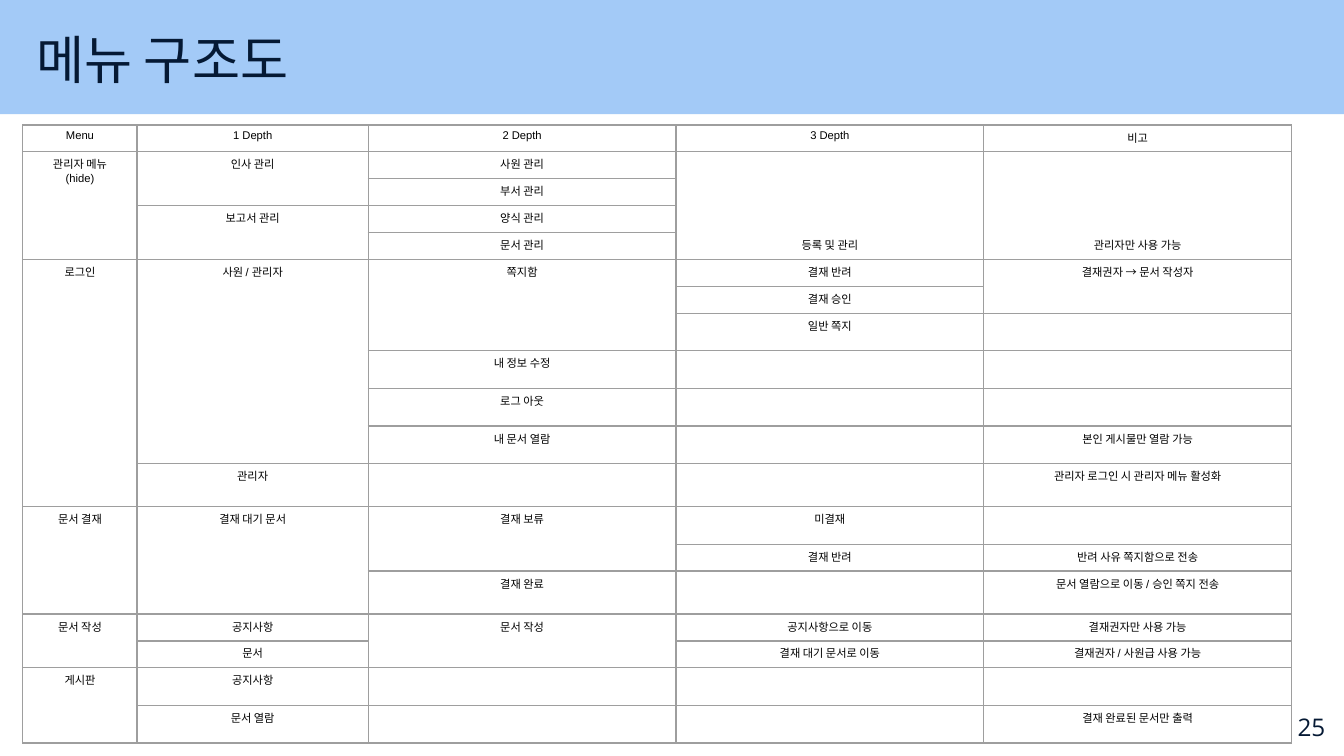
from dataclasses import dataclass

from lxml.etree import SubElement
from pptx import Presentation
from pptx.dml.color import RGBColor
from pptx.enum.shapes import MSO_SHAPE as Shape
from pptx.enum.text import MSO_ANCHOR as Anchor, MSO_AUTO_SIZE as AutoSize, PP_ALIGN as Align
from pptx.oxml.ns import qn
from pptx.util import Inches, Pt


@dataclass(frozen=True)
class Theme:
    band: str = "A3CAF7"
    ink: str = "051934"
    cell_ink: str = "000000"
    border: str = "9E9E9E"
    border_width: float = 0.75
    font: str = "Arial"
    number_font: str = "Open Sans"
    title_size: int = 28
    number_size: int = 13
    cell_size: int = 6


THEME = Theme()
TITLE_ONLY = 5
COLUMN_WIDTHS = [0.85, 1.72, 2.29, 2.29, 2.29]
JOIN_ABOVE = None

MENU_ROWS = [
    (0.2, "Menu", "1 Depth", "2 Depth", "3 Depth", "비고"),
    (0.2, "관리자 메뉴\n(hide)", "인사 관리", "사원 관리", "등록 및 관리", "관리자만 사용 가능"),
    (0.2, JOIN_ABOVE, JOIN_ABOVE, "부서 관리", JOIN_ABOVE, JOIN_ABOVE),
    (0.2, JOIN_ABOVE, "보고서 관리", "양식 관리", JOIN_ABOVE, JOIN_ABOVE),
    (0.2, JOIN_ABOVE, JOIN_ABOVE, "문서 관리", JOIN_ABOVE, JOIN_ABOVE),
    (0.2, "로그인", "사원 / 관리자", "쪽지함", "결재 반려", "결재권자 → 문서 작성자"),
    (0.2, JOIN_ABOVE, JOIN_ABOVE, JOIN_ABOVE, "결재 승인", JOIN_ABOVE),
    (0.28, JOIN_ABOVE, JOIN_ABOVE, JOIN_ABOVE, "일반 쪽지", ""),
    (0.28, JOIN_ABOVE, JOIN_ABOVE, "내 정보 수정", "", ""),
    (0.28, JOIN_ABOVE, JOIN_ABOVE, "로그 아웃", "", ""),
    (0.28, JOIN_ABOVE, JOIN_ABOVE, "내 문서 열람", "", "본인 게시물만 열람 가능"),
    (0.32, JOIN_ABOVE, "관리자", "", "", "관리자 로그인 시 관리자 메뉴 활성화"),
    (0.28, "문서 결재", "결재 대기 문서", "결재 보류", "미결재", ""),
    (0.2, JOIN_ABOVE, JOIN_ABOVE, JOIN_ABOVE, "결재 반려", "반려 사유 쪽지함으로 전송"),
    (0.32, JOIN_ABOVE, JOIN_ABOVE, "결재 완료", "", "문서 열람으로 이동 / 승인 쪽지 전송"),
    (0.2, "문서 작성", "공지사항", "문서 작성", "공지사항으로 이동", "결재권자만 사용 가능"),
    (0.2, JOIN_ABOVE, "문서", JOIN_ABOVE, "결재 대기 문서로 이동", "결재권자 / 사원급 사용 가능"),
    (0.28, "게시판", "공지사항", "", "", ""),
    (0.28, JOIN_ABOVE, "문서 열람", "", "", "결재 완료된 문서만 출력"),
]
BOTTOM_TEXTS = {"등록 및 관리", "관리자만 사용 가능"}


def place(shape, left, top, width, height):
    shape.left, shape.top = Inches(left), Inches(top)
    shape.width, shape.height = Inches(width), Inches(height)


def style_paragraph(paragraph, font, size, color, align):
    paragraph.alignment = align
    paragraph.font.name = font
    paragraph.font.size = Pt(size)
    paragraph.font.color.rgb = RGBColor.from_string(color)


def set_margins(holder, horizontal, vertical):
    holder.margin_left = holder.margin_right = Inches(horizontal)
    holder.margin_top = holder.margin_bottom = Inches(vertical)


def write_line(frame, text, font, size, align):
    frame.text = text
    frame.word_wrap = True
    frame.auto_size = AutoSize.NONE
    frame.vertical_anchor = Anchor.MIDDLE
    set_margins(frame, 0.1, 0.1)
    style_paragraph(frame.paragraphs[0], font, size, THEME.ink, align)


def add_heading(slide, text):
    band = slide.shapes.add_shape(Shape.RECTANGLE, 0, 0, Inches(10), Inches(0.85))
    band.shadow.inherit = False
    band.fill.solid()
    band.fill.fore_color.rgb = RGBColor.from_string(THEME.band)
    band.line.fill.background()
    heading = slide.shapes.title
    heading.element.addprevious(band.element)
    place(heading, 0.17, 0.12, 7.73, 0.63)
    write_line(heading.text_frame, text, THEME.font, THEME.title_size, Align.LEFT)


def add_page_number(slide, number):
    box = slide.shapes.add_textbox(Inches(9.36), Inches(5.19), Inches(0.6), Inches(0.43))
    write_line(box.text_frame, number, THEME.number_font, THEME.number_size, Align.RIGHT)


def add_borders(cell):
    properties = cell._tc.get_or_add_tcPr()
    for position, side in enumerate(("lnL", "lnR", "lnT", "lnB")):
        line = properties.makeelement(qn(f"a:{side}"), {"w": str(Pt(THEME.border_width))})
        fill = SubElement(line, qn("a:solidFill"))
        SubElement(fill, qn("a:srgbClr"), val=THEME.border)
        properties.insert(position, line)


def fill_cell(cell, text):
    cell.text = text or ""
    cell.fill.background()
    set_margins(cell, 0.06, 0.03)
    cell.vertical_anchor = Anchor.TOP
    if text in BOTTOM_TEXTS:
        cell.vertical_anchor = Anchor.BOTTOM
        cell.margin_bottom = Inches(0.05)
    for paragraph in cell.text_frame.paragraphs:
        style_paragraph(paragraph, THEME.font, THEME.cell_size, THEME.cell_ink, Align.CENTER)
        if not text:
            ending = SubElement(paragraph._p, qn("a:endParaRPr"))
            ending.set("sz", str(THEME.cell_size * 100))
    add_borders(cell)


def merge_down(table, texts):
    for column, entries in enumerate(zip(*texts)):
        starts = [row for row, text in enumerate(entries) if text is not JOIN_ABOVE]
        for start, following in zip(starts, starts[1:] + [len(entries)]):
            if following - start > 1:
                table.cell(start, column).merge(table.cell(following - 1, column))


def add_menu_table(slide):
    heights = [row[0] for row in MENU_ROWS]
    texts = [row[1:] for row in MENU_ROWS]
    table = slide.shapes.add_table(
        len(texts), len(COLUMN_WIDTHS), Inches(0.17), Inches(0.93),
        Inches(sum(COLUMN_WIDTHS)), Inches(sum(heights)),
    ).table
    table.first_row = table.horz_banding = False
    for column, width in zip(table.columns, COLUMN_WIDTHS):
        column.width = Inches(width)
    for row, height, entries in zip(table.rows, heights, texts):
        row.height = Inches(height)
        for cell, text in zip(row.cells, entries):
            fill_cell(cell, text)
    merge_down(table, texts)


def main():
    deck = Presentation()
    deck.slide_width = Inches(10)
    deck.slide_height = deck.slide_width * 9 // 16
    slide = deck.slides.add_slide(deck.slide_layouts[TITLE_ONLY])
    add_heading(slide, "메뉴 구조도")
    add_page_number(slide, "25")
    add_menu_table(slide)
    deck.save("out.pptx")


if __name__ == "__main__":
    main()
